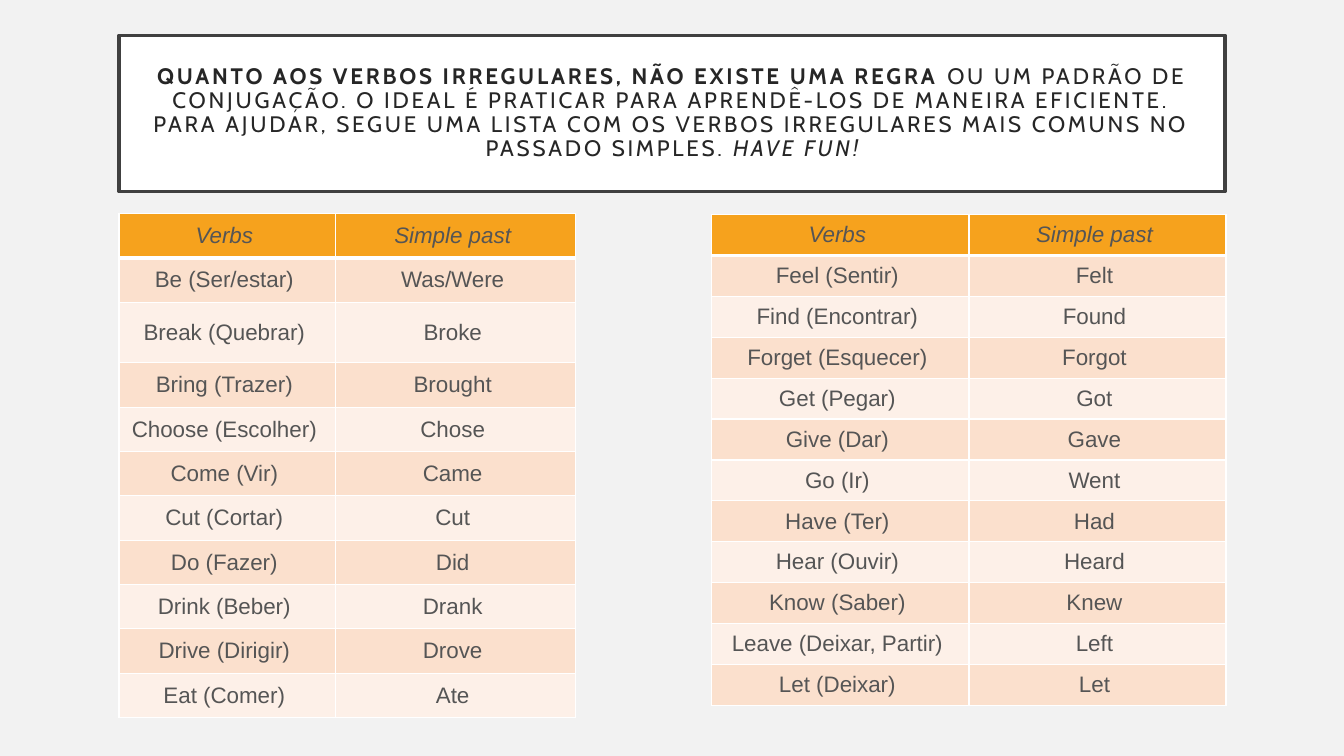
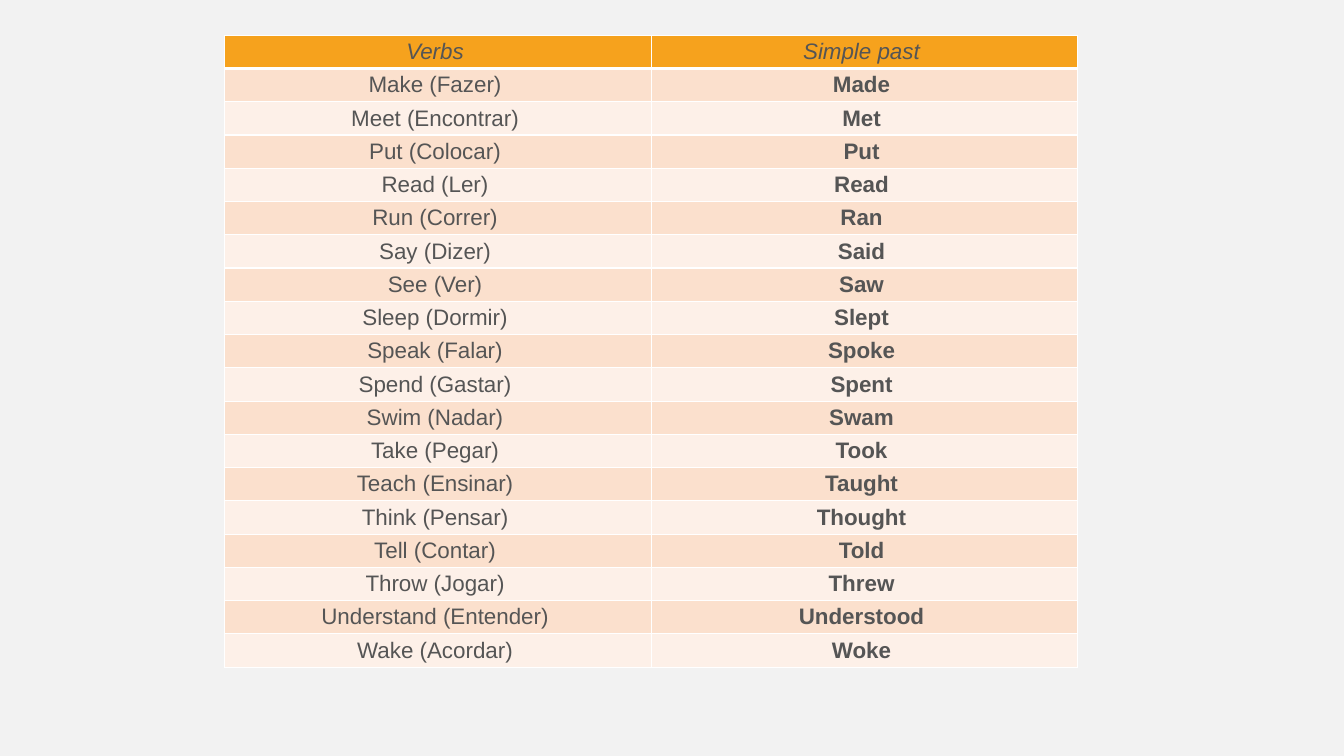
from lxml import etree
from pptx import Presentation
from pptx.dml.color import RGBColor
from pptx.enum import shapes, text
from pptx.oxml import ns
from pptx.util import Inches, Pt

BACKGROUND = RGBColor(0xF2, 0xF2, 0xF2)
WHITE = RGBColor(0xFF, 0xFF, 0xFF)
FRAME = RGBColor(0x40, 0x40, 0x40)
TITLE_INK = RGBColor(0x26, 0x26, 0x26)
TABLE_INK = RGBColor(0x55, 0x55, 0x55)
HEADER = RGBColor(0xF6, 0xA2, 0x1D)
BANDS = (RGBColor(0xFB, 0xE0, 0xCD), RGBColor(0xFD, 0xF0, 0xE8))

HEADINGS = ("Verbs", "Simple past")

TITLE = (
    ("QUANTO AOS VERBOS IRREGULARES, NÃO EXISTE UMA REGRA", True, False),
    (" OU UM PADRÃO DE CONJUGAÇÃO. O IDEAL É PRATICAR PARA APRENDÊ-LOS DE "
     "MANEIRA EFICIENTE. PARA AJUDAR, SEGUE UMA LISTA COM OS VERBOS "
     "IRREGULARES MAIS COMUNS NO PASSADO SIMPLES. ", False, False),
    ("HAVE FUN!", False, True),
)

BE_TO_EAT = (
    ("Be (Ser/estar)", "Was/Were"),
    ("Break (Quebrar)", "Broke"),
    ("Bring (Trazer)", "Brought"),
    ("Choose (Escolher)", "Chose"),
    ("Come (Vir)", "Came"),
    ("Cut (Cortar)", "Cut"),
    ("Do (Fazer)", "Did"),
    ("Drink (Beber)", "Drank"),
    ("Drive (Dirigir)", "Drove"),
    ("Eat (Comer)", "Ate"),
)

FEEL_TO_LET = (
    ("Feel (Sentir)", "Felt"),
    ("Find (Encontrar)", "Found"),
    ("Forget (Esquecer)", "Forgot"),
    ("Get (Pegar)", "Got"),
    ("Give (Dar)", "Gave"),
    ("Go (Ir)", "Went"),
    ("Have (Ter)", "Had"),
    ("Hear (Ouvir)", "Heard"),
    ("Know (Saber)", "Knew"),
    ("Leave (Deixar, Partir)", "Left"),
    ("Let (Deixar)", "Let"),
)

MAKE_TO_WAKE = (
    ("Make (Fazer)", "Made"),
    ("Meet (Encontrar)", "Met"),
    ("Put (Colocar)", "Put"),
    ("Read (Ler)", "Read"),
    ("Run (Correr)", "Ran"),
    ("Say (Dizer)", "Said"),
    ("See (Ver)", "Saw"),
    ("Sleep (Dormir)", "Slept"),
    ("Speak (Falar)", "Spoke"),
    ("Spend (Gastar)", "Spent"),
    ("Swim (Nadar)", "Swam"),
    ("Take (Pegar)", "Took"),
    ("Teach (Ensinar)", "Taught"),
    ("Think (Pensar)", "Thought"),
    ("Tell (Contar)", "Told"),
    ("Throw (Jogar)", "Threw"),
    ("Understand (Entender)", "Understood"),
    ("Wake (Acordar)", "Woke"),
)


class Deck:
    title_font = "Cabin"
    table_font = "Arial"
    size = Pt(16)

    def __init__(self):
        self.presentation = Presentation()
        self.presentation.slide_width = Inches(13.33)
        self.presentation.slide_height = Inches(7.5)
        self.slide = None

    def add_slide(self):
        blank = self.presentation.slide_layouts[6]
        self.slide = self.presentation.slides.add_slide(blank)
        fill = self.slide.background.fill
        fill.solid()
        fill.fore_color.rgb = BACKGROUND

    def add_run(self, paragraph, words, font, color, bold=False, italic=False):
        run = paragraph.add_run()
        run.text = words
        run.font.name = font
        run.font.size = self.size
        run.font.color.rgb = color
        run.font.bold = bold
        run.font.italic = italic
        return run

    def add_title(self, runs):
        shape = self.slide.shapes.add_shape(
            shapes.MSO_SHAPE.RECTANGLE,
            Inches(1.18), Inches(0.35), Inches(10.97), Inches(1.55))
        shape.shadow.inherit = False
        shape.fill.solid()
        shape.fill.fore_color.rgb = WHITE
        shape.line.color.rgb = FRAME
        shape.line.width = Pt(2.5)
        frame = shape.text_frame
        frame.word_wrap = True
        frame.vertical_anchor = text.MSO_ANCHOR.MIDDLE
        frame.margin_left = frame.margin_right = Inches(0.2)
        frame.margin_top = frame.margin_bottom = Inches(0.2)
        paragraph = frame.paragraphs[0]
        paragraph.alignment = text.PP_ALIGN.CENTER
        paragraph.line_spacing = 0.9
        for words, bold, italic in runs:
            run = self.add_run(paragraph, words, self.title_font, TITLE_INK,
                               bold, italic)
            run.font._element.set("spc", "200")

    def set_borders(self, cell, top, bottom):
        """Draw white cell borders; top and bottom are widths in points."""
        properties = cell._tc.get_or_add_tcPr()
        for side, width in (("L", 1), ("R", 1), ("T", top), ("B", bottom)):
            line = etree.SubElement(properties, ns.qn("a:ln" + side),
                                    w=str(Pt(width)))
            fill = etree.SubElement(line, ns.qn("a:solidFill"))
            etree.SubElement(fill, ns.qn("a:srgbClr"), val=str(WHITE))

    def fill_cell(self, cell, words, color, bold, italic):
        cell.fill.solid()
        cell.fill.fore_color.rgb = color
        cell.vertical_anchor = text.MSO_ANCHOR.MIDDLE
        cell.margin_left = Inches(0.07)
        cell.margin_right = Inches(0.13)
        cell.margin_top = cell.margin_bottom = Inches(0.03)
        paragraph = cell.text_frame.paragraphs[0]
        paragraph.alignment = text.PP_ALIGN.CENTER
        self.add_run(paragraph, words, self.table_font, TABLE_INK, bold, italic)

    def add_verbs(self, verbs, left, top, widths, row_height,
                  tall_rows=None, bold_past=False):
        """Add a verb table; tall_rows maps row numbers to other heights."""
        rows = (HEADINGS,) + verbs
        heights = [(tall_rows or {}).get(number, row_height)
                   for number in range(len(rows))]
        table = self.slide.shapes.add_table(
            len(rows), len(widths), Inches(left), Inches(top),
            Inches(sum(widths)), Inches(sum(heights))).table
        table.horz_banding = False
        for column, width in zip(table.columns, widths):
            column.width = Inches(width)
        for number, words in enumerate(rows):
            table.rows[number].height = Inches(heights[number])
            heading = number == 0
            color = HEADER if heading else BANDS[(number - 1) % 2]
            for column, word in enumerate(words):
                cell = table.cell(number, column)
                self.set_borders(cell, top=3 if number == 1 else 1,
                                 bottom=3 if heading else 1)
                bold = bold_past and column == 1 and not heading
                self.fill_cell(cell, word, color, bold, heading)


def main():
    deck = Deck()

    deck.add_slide()
    deck.add_title(TITLE)
    deck.add_verbs(BE_TO_EAT, 1.18, 2.12, (2.15, 2.38), 0.44, tall_rows={2: 0.6})
    deck.add_verbs(FEEL_TO_LET, 7.06, 2.13, (2.55, 2.55), 4.87 / 12)

    deck.add_slide()
    deck.add_verbs(MAKE_TO_WAKE, 2.23, 0.35, (4.23, 4.23), 0.33, bold_past=True)

    deck.presentation.save("out.pptx")


if __name__ == "__main__":
    main()
